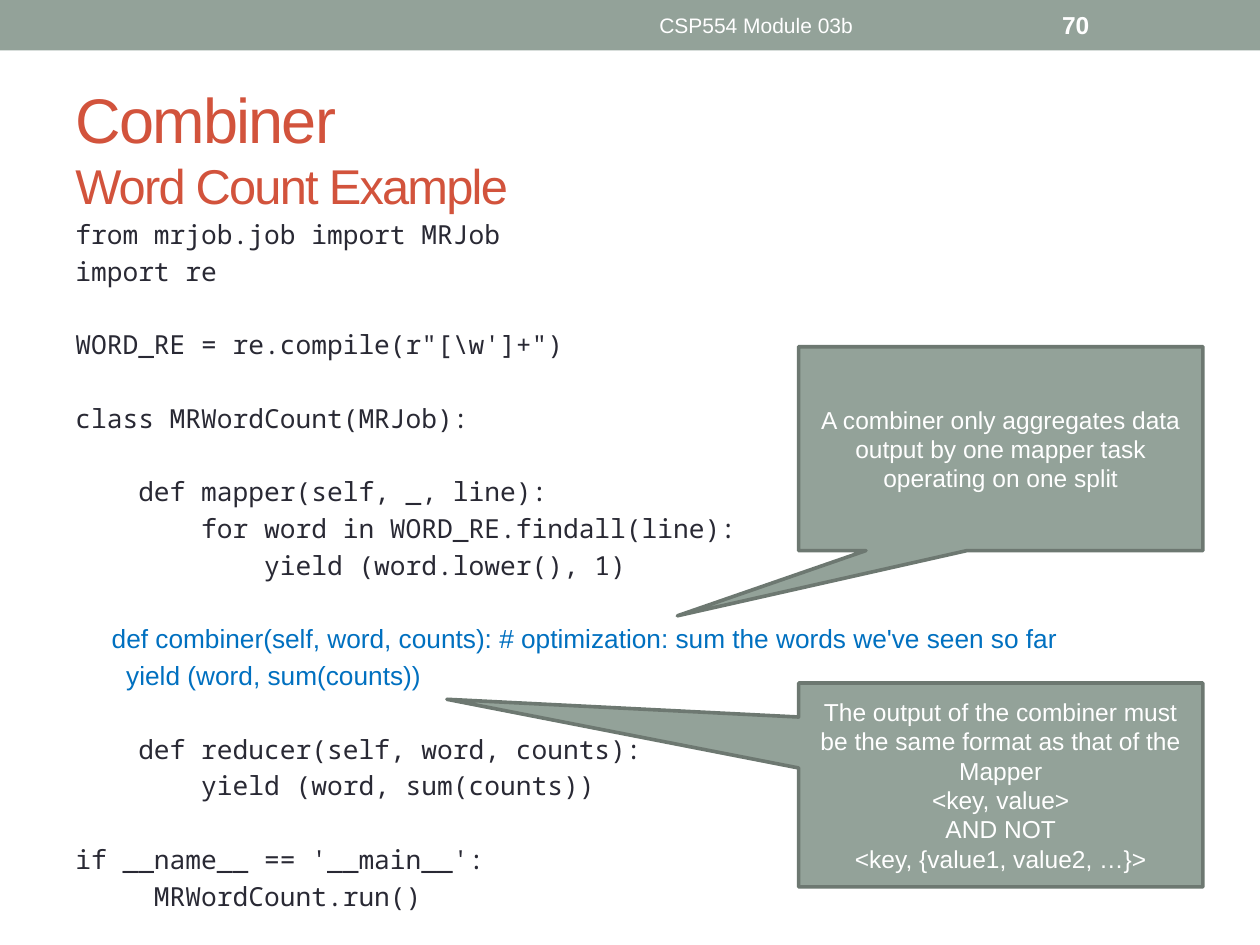
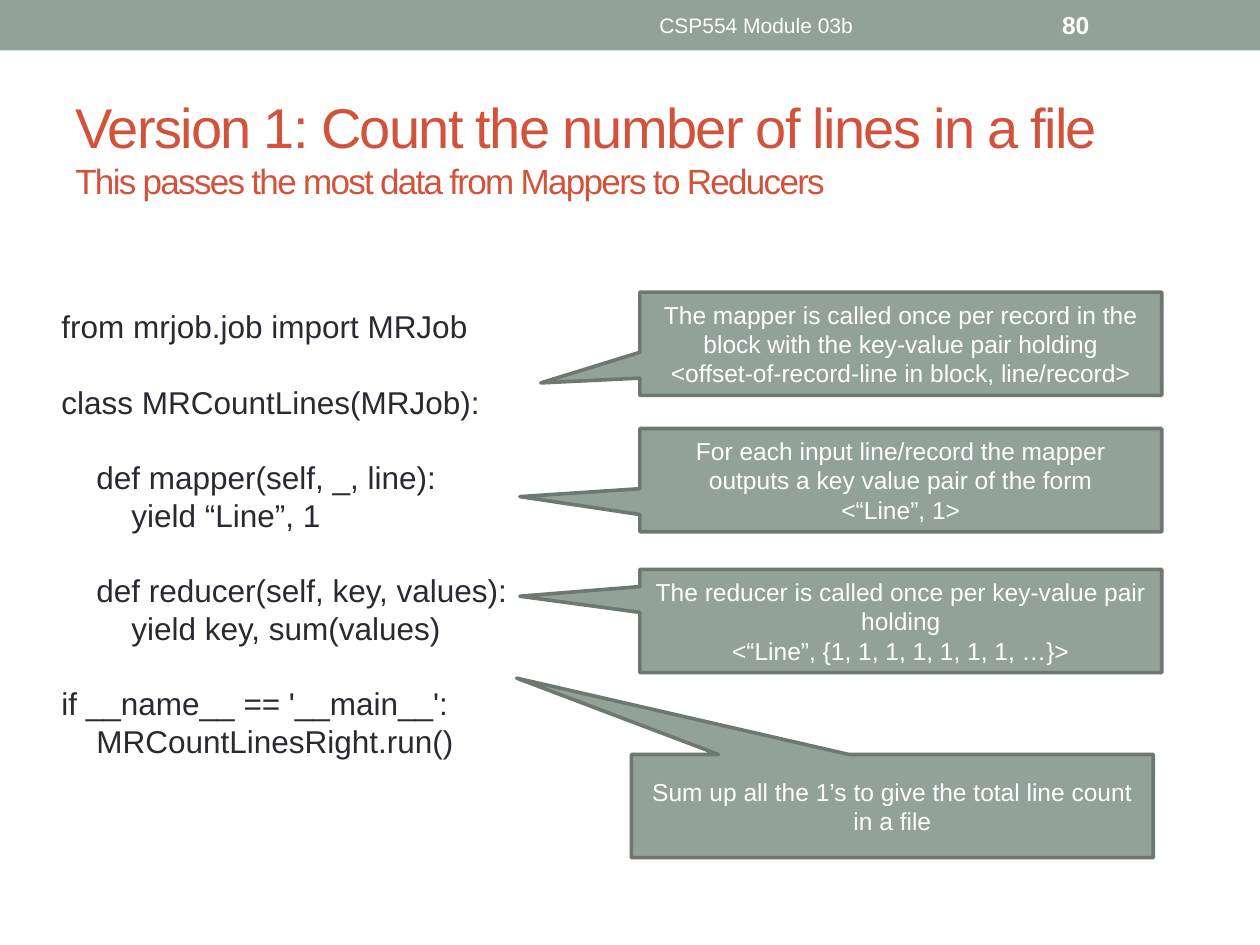
from pptx import Presentation
from pptx.dml.color import RGBColor
from pptx.enum.shapes import MSO_SHAPE as Shape
from pptx.enum.text import MSO_ANCHOR as Anchor, PP_ALIGN as Align
from pptx.util import Cm, Pt

SAGE = RGBColor(0x93, 0xA2, 0x99)
EDGE = RGBColor(0x6D, 0x78, 0x71)
RUST = RGBColor(0xD2, 0x53, 0x3C)
INK = RGBColor(0x29, 0x29, 0x34)
BLUE = RGBColor(0x00, 0x70, 0xC0)
WHITE = RGBColor(0xFF, 0xFF, 0xFF)
SANS, MONO = "Arial", "Noto Sans Mono"

COUNT = r"""from mrjob.job import MRJob
import re

WORD_RE = re.compile(r"[\w']+")

class MRWordCount(MRJob):

    def mapper(self, _, line):
        for word in WORD_RE.findall(line):
            yield (word.lower(), 1)

     def combiner(self, word, counts): # optimization: sum the words we've seen so far
       yield (word, sum(counts))

    def reducer(self, word, counts):
        yield (word, sum(counts))

if __name__ == '__main__':
     MRWordCount.run()"""

LINES = """from mrjob.job import MRJob

class MRCountLines(MRJob):

    def mapper(self, _, line):
        yield “Line”, 1

    def reducer(self, key, values):
        yield key, sum(values)

if __name__ == '__main__':
    MRCountLinesRight.run()"""

RULES = [
    ((16.1, 13.77), (-1.37, -0.42),
     ["The output of the combiner must be the same format as that of the Mapper",
      "<key, value>", "AND NOT", "<key, {value1, value2, …}>"]),
    ((16.1, 6.99), (-0.8, 0.82),
     ["A combiner only aggregates data output by one mapper task operating on one split"]),
]

STEPS = [
    ((12.9, 5.89), (-0.69, 0.38),
     ["The mapper is called once per record in the block with the key-value pair holding",
      "<offset-of-record-line in block, line/record>"]),
    ((12.73, 15.21), (-0.72, -1.24),
     ["Sum up all the 1’s to give the total line count in a file"]),
    ((12.9, 8.64), (-0.73, 0.16),
     ["For each input line/record the mapper outputs a key value pair of the form",
      "<“Line”, 1>"]),
    ((12.9, 11.48), (-0.73, -0.24),
     ["The reducer is called once per key-value pair holding",
      "<“Line”, {1, 1, 1, 1, 1, 1, 1, …}>"]),
]


class Deck:
    """Hold the shared style and draw on the current slide."""

    def __init__(self):
        self.show = Presentation()
        self.show.slide_width, self.show.slide_height = Cm(25.4), Cm(19.05)
        self.slide = None

    def page(self, number, head, sub):
        self.slide = self.show.slides.add_slide(self.show.slide_layouts[6])
        self.block(Shape.RECTANGLE, (0, 0, 25.4, 1.02)).line.fill.background()
        self.title(head, sub)
        self.label("CSP554 Module 03b", (9.53, 0.05, 11.43, 0.91), Align.CENTER, size=Pt(12))
        self.label(number, (21.16, 0.05, 2.97, 0.91), Align.LEFT, size=Pt(14), bold=True)

    def put(self, para, text, color, **form):
        run = para.add_run()
        run.text = text
        for key, value in {"name": SANS, **form}.items():
            setattr(run.font, key, value)
        run.font.color.rgb = color
        return run

    def box(self, place, anchor):
        frame = self.slide.shapes.add_textbox(*map(Cm, place)).text_frame
        frame.word_wrap, frame.vertical_anchor = True, anchor
        return frame

    def block(self, kind, place):
        shape = self.slide.shapes.add_shape(kind, *map(Cm, place))
        shape.shadow.inherit = False
        shape.fill.solid()
        shape.fill.fore_color.rgb = SAGE
        return shape

    def label(self, text, place, align, **form):
        para = self.box(place, Anchor.MIDDLE).paragraphs[0]
        para.alignment = align
        self.put(para, text, WHITE, **form)

    def title(self, head, sub):
        para = self.box((1.27, 1.6, 22.86, 2.74), Anchor.MIDDLE).paragraphs[0]
        for part, (text, size) in enumerate((head, sub)):
            if part:
                para.add_line_break()
            run = self.put(para, text, RUST, size=Pt(size))
            run.font._element.set("spc", "-100")

    def code(self, text, place, pitch, blue=(), **form):
        frame = self.box(place, Anchor.TOP)
        para, gap = frame.paragraphs[0], 0
        for row, line in enumerate(text.splitlines()):
            if not line:
                gap += pitch
                continue
            if row:
                para = frame.add_paragraph()
                para.space_before = Pt(gap)
            para.line_spacing = Pt(pitch)
            style = {**form, "name": SANS} if row in blue else form
            self.put(para, line, BLUE if row in blue else INK, **style)
            gap = 0

    def call(self, place, tip, lines):
        shape = self.block(Shape.RECTANGULAR_CALLOUT, place)
        shape.line.color.rgb, shape.line.width = EDGE, Pt(2.08)
        shape.adjustments[0], shape.adjustments[1] = tip
        frame = shape.text_frame
        frame.word_wrap, frame.vertical_anchor = True, Anchor.MIDDLE
        for row, line in enumerate(lines):
            para = frame.add_paragraph() if row else frame.paragraphs[0]
            para.alignment = Align.CENTER
            self.put(para, line, WHITE, size=Pt(14))

    def calls(self, notes, size):
        for spot, tip, lines in notes:
            self.call((*spot, *size), tip, lines)


def main():
    deck = Deck()
    deck.page("70", ("Combiner", 36), ("Word Count Example", 27.9))
    deck.code(COUNT, (1.27, 4.17, 22.86, 13.54), 21, (11, 12), name=MONO, size=Pt(15))
    deck.calls(RULES, (8.15, 4.11))

    deck.page("80", ("Version 1: Count the number of lines in a file", 32),
              ("This passes the most data from Mappers to Reducers", 20))
    deck.code(LINES, (0.99, 6.07, 11.07, 9.5), 21.55, size=Pt(18))
    deck.calls(STEPS, (10.52, 2.08))
    deck.show.save("out.pptx")


if __name__ == "__main__":
    main()
